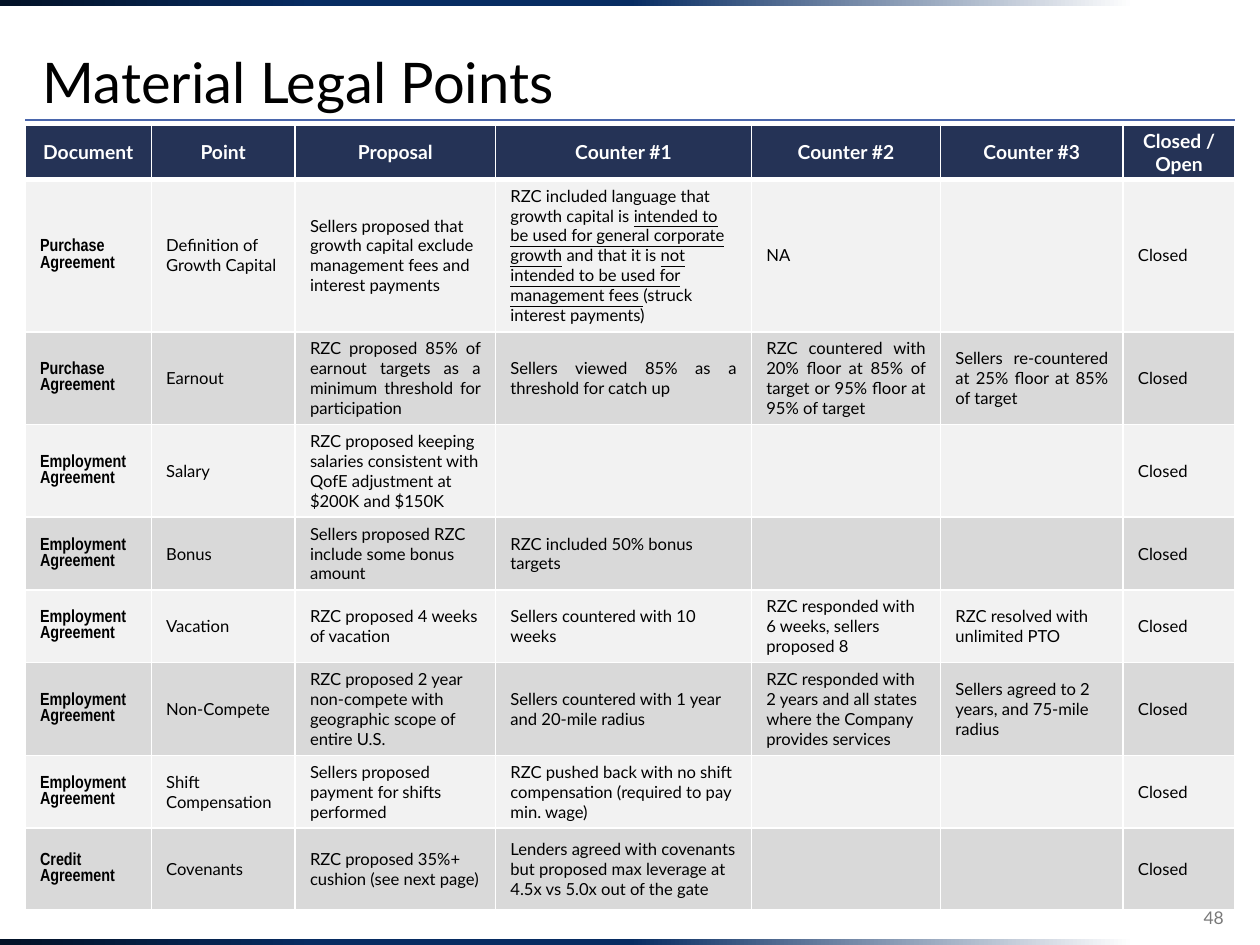
import dataclasses

import pptx
import pptx.dml.color
import pptx.enum.shapes
import pptx.enum.text
import pptx.oxml
import pptx.oxml.ns
import pptx.util
from pptx.util import Cm

ALIGN = pptx.enum.text.PP_ALIGN
ANCHOR = pptx.enum.text.MSO_ANCHOR
COLORS = {
    "text": "000000",
    "white": "FFFFFF",
    "header": "253356",
    "light": "F2F2F2",
    "dark": "D9D9D9",
    "rule": "4A66AC",
    "number": "797979",
    "navy": "072C62",
    "night": "031227",
}
BAR_STOPS = [(0, "night"), (25, "navy"), (50, "navy"), (90, "white")]
COL_WIDTHS = [2.54, 2.9, 4.04, 5.16, 3.81, 3.68, 2.26]
HEADINGS = ["Document", "Point", "Proposal", "Counter #1", "Counter #2", "Counter #3", "Closed / Open"]
HEADER_HEIGHT = 0.97
UNDERLINE_MARK = "_"


@dataclasses.dataclass
class Style:
    size: float
    color: str = "text"
    font: str = "Lato"
    bold: bool = False
    align: ALIGN = ALIGN.LEFT


@dataclasses.dataclass
class Point:
    document: str
    point: str
    proposal: str
    height: float
    counters: tuple[str, ...] = ()
    align: ALIGN = ALIGN.LEFT

    def texts(self) -> list[str]:
        counters = [*self.counters, "", "", ""][:3]
        return [self.document + " Agreement", self.point, self.proposal, *counters, "Closed"]


POINTS = [
    Point("Purchase", "Definition of Growth Capital",
          "Sellers proposed that growth capital exclude management fees and interest payments", 2.72,
          ("RZC included language that growth capital is _intended to be used for general corporate growth_"
           " and that it is _not intended to be used for management fees _(struck interest payments)", "NA")),
    Point("Purchase", "Earnout",
          "RZC proposed 85% of earnout targets as a minimum threshold for participation", 1.65,
          ("Sellers viewed 85% as a threshold for catch up",
           "RZC countered with 20% floor at 85% of target or 95% floor at 95% of target",
           "Sellers re-countered at 25% floor at 85% of target"), ALIGN.JUSTIFY),
    Point("Employment", "Salary",
          "RZC proposed keeping salaries consistent with QofE adjustment at $200K and $150K", 1.65),
    Point("Employment", "Bonus", "Sellers proposed RZC include some bonus amount", 1.3,
          ("RZC included 50% bonus targets",)),
    Point("Employment", "Vacation", "RZC proposed 4 weeks of vacation", 1.3,
          ("Sellers countered with 10 weeks", "RZC responded with 6 weeks, sellers proposed 8",
           "RZC resolved with unlimited PTO")),
    Point("Employment", "Non-Compete",
          "RZC proposed 2 year non-compete with geographic scope of entire U.S.", 1.65,
          ("Sellers countered with 1 year and 20-mile radius",
           "RZC responded with 2 years and all states where the Company provides services",
           "Sellers agreed to 2 years, and 75-mile radius")),
    Point("Employment", "Shift Compensation", "Sellers proposed payment for shifts performed", 1.3,
          ("RZC pushed back with no shift compensation (required to pay min. wage)",)),
    Point("Credit", "Covenants", "RZC proposed 35%+ cushion (see next page)", 1.65,
          ("Lenders agreed with covenants but proposed max leverage at 4.5x vs 5.0x out of the gate",)),
]


def rgb(name: str) -> pptx.dml.color.RGBColor:
    return pptx.dml.color.RGBColor.from_string(COLORS[name])


def xml(body: str):
    return pptx.oxml.parse_xml(body.replace(">", f" {pptx.oxml.ns.nsdecls('a')}>", 1))


def write(tf, text: str, style: Style) -> None:
    p = tf.paragraphs[0]
    p.alignment = style.align
    p.font.size = pptx.util.Pt(style.size)
    p.font.name = style.font
    p.font.bold = style.bold
    p.font.color.rgb = rgb(style.color)
    for i, part in enumerate(text.split(UNDERLINE_MARK)):
        if part:
            r = p.add_run()
            r.text = part
            if i % 2:
                r.font.underline = True


def add_text(s, box: tuple[float, ...], text: str, style: Style, anchor: ANCHOR):
    tf = s.shapes.add_textbox(*map(Cm, box)).text_frame
    tf.word_wrap = True
    tf.vertical_anchor = anchor
    write(tf, text, style)
    return tf


def add_bar(s, top: float) -> None:
    sp = s.shapes.add_shape(pptx.enum.shapes.MSO_SHAPE.RECTANGLE, 0, Cm(top), Cm(25.4), Cm(0.13))
    sp.shadow.inherit = False
    sp.line.fill.background()
    stops = "".join(f'<a:gs pos="{pos * 1000}"><a:srgbClr val="{COLORS[name]}"/></a:gs>'
                    for pos, name in BAR_STOPS)
    sp._element.spPr.find(pptx.oxml.ns.qn("a:prstGeom")).addnext(
        xml(f'<a:gradFill><a:gsLst>{stops}</a:gsLst><a:lin ang="0" scaled="0"/></a:gradFill>'))


def add_rule(s) -> None:
    line = s.shapes.add_connector(pptx.enum.shapes.MSO_CONNECTOR.STRAIGHT,
                                  Cm(0.51), Cm(2.42), Cm(24.89), Cm(2.42))
    line.line.color.rgb = rgb("rule")
    line.line.width = pptx.util.Pt(1.5)
    line._element.spPr.append(xml("<a:effectLst></a:effectLst>"))


def fill_cell(cell, text: str, style: Style, fill: str, margin: float, top: float, bottom: float) -> None:
    cell.vertical_anchor = ANCHOR.MIDDLE
    cell.margin_left = cell.margin_right = Cm(0.3)
    cell.margin_top = cell.margin_bottom = Cm(margin)
    for side, width in (("L", 1), ("R", 1), ("T", top), ("B", bottom)):
        cell._tc.get_or_add_tcPr().append(
            xml(f'<a:ln{side} w="{int(width * 12700)}"><a:solidFill><a:srgbClr val="{COLORS["white"]}"/>'
                f'</a:solidFill></a:ln{side}>'))
    cell.fill.solid()
    cell.fill.fore_color.rgb = rgb(fill)
    write(cell.text_frame, text, style)


def add_points_table(s) -> None:
    heights = [HEADER_HEIGHT, *(point.height for point in POINTS)]
    table = s.shapes.add_table(len(heights), len(COL_WIDTHS), Cm(0.51), Cm(2.52),
                               Cm(sum(COL_WIDTHS)), Cm(sum(heights))).table
    for column, width in zip(table.columns, COL_WIDTHS):
        column.width = Cm(width)
    for row, height in zip(table.rows, heights):
        row.height = Cm(height)
    heading = Style(11, "white", bold=True, align=ALIGN.CENTER)
    document = Style(10, font="Arial Narrow", bold=True)
    for c, text in enumerate(HEADINGS):
        fill_cell(table.cell(0, c), text, heading, "header", 0.08, 0.25, 3)
    for i, point in enumerate(POINTS):
        body = Style(9.5, align=point.align)
        for c, text in enumerate(point.texts()):
            fill_cell(table.cell(i + 1, c), text, body if c else document,
                      "dark" if i % 2 else "light", 0.13, 1 if i else 3, 1)


def main() -> None:
    prs = pptx.Presentation()
    prs.slide_width, prs.slide_height = Cm(25.4), Cm(19.05)
    s = prs.slides.add_slide(prs.slide_layouts[6])
    add_rule(s)
    for top in (18.92, 0):
        add_bar(s, top)
    title = add_text(s, (0.61, 0.61, 24.16, 1.85), "Material Legal Points", Style(32), ANCHOR.BOTTOM)
    title.paragraphs[0].line_spacing = 0.9
    add_text(s, (20.75, 17.98, 4.17, 1.02), "48", Style(10, "number", align=ALIGN.RIGHT), ANCHOR.MIDDLE)
    add_points_table(s)
    prs.save("out.pptx")


if __name__ == "__main__":
    main()
